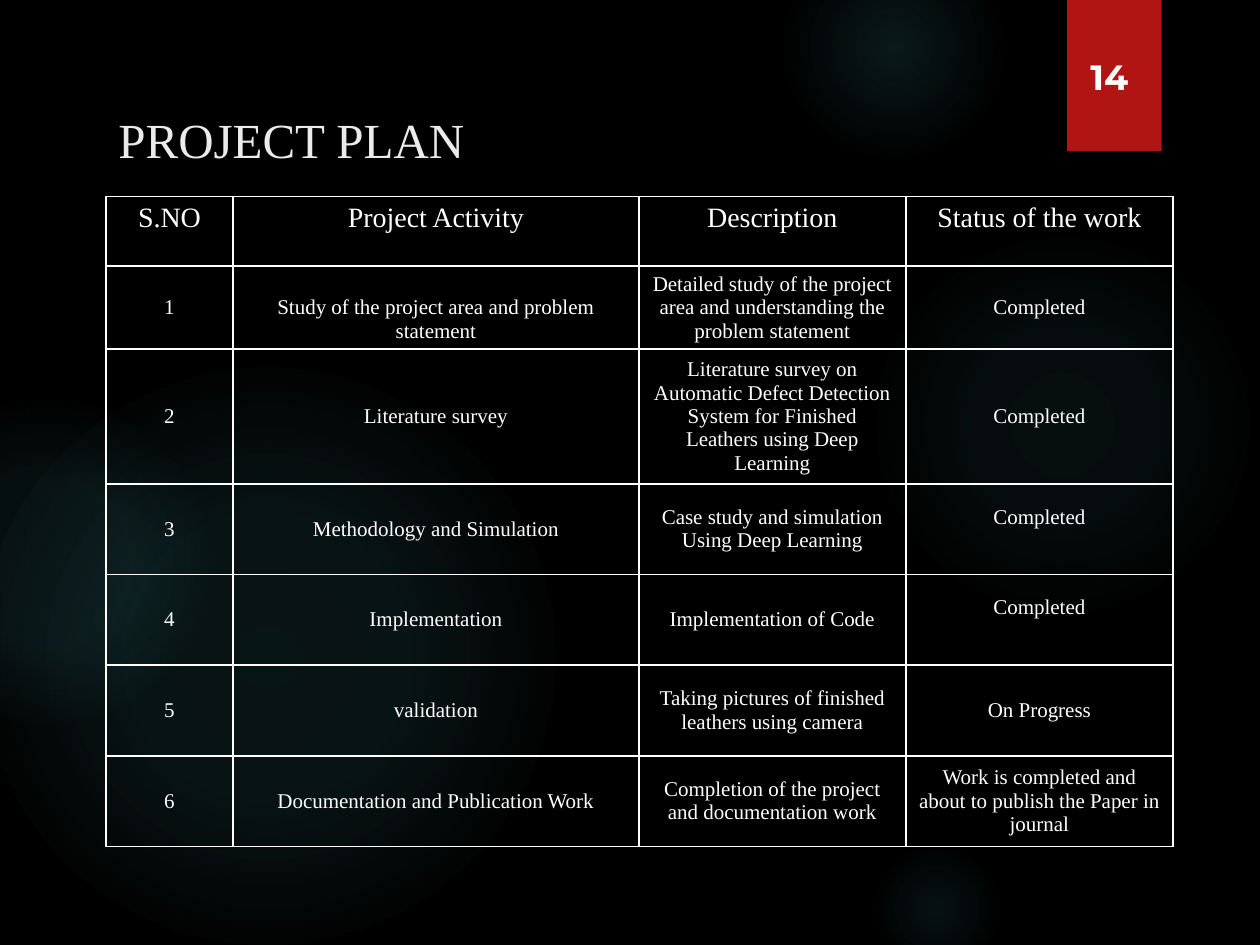
from pptx import Presentation
from pptx.dml.color import RGBColor
from pptx.enum.shapes import MSO_SHAPE
from pptx.enum.text import MSO_ANCHOR, PP_ALIGN
from pptx.oxml import parse_xml
from pptx.oxml.ns import nsdecls
from pptx.util import Inches, Pt

THEME = {
    "back": "000000", "glow": "50B9C1", "red": "B01513",
    "head": "EBEBEB", "text": "FFFFFF",
    "serif": "Times New Roman", "sans": "Montserrat",
    "title": 28, "label": 16, "body": 12, "page": 20,
}


def write(para, text, size, color, face=THEME["serif"], bold=False):
    run = para.add_run()
    run.text = text
    font = run.font
    font.name, font.size, font.bold = face, Pt(size), bold
    font.color.rgb = RGBColor.from_string(color)


def block(kind, left, top, width, height):
    shape = slide.shapes.add_shape(
        kind, Inches(left), Inches(top), Inches(width), Inches(height))
    shape.shadow.inherit = False
    shape.fill.solid()
    shape.fill.fore_color.rgb = RGBColor.from_string(THEME["red"])
    shape.line.fill.background()
    return shape


deck = Presentation()
deck.slide_width, deck.slide_height = Inches(10), Inches(7.5)
slide = deck.slides.add_slide(deck.slide_layouts[5])
slide.background.fill.solid()
slide.background.fill.fore_color.rgb = RGBColor.from_string(THEME["back"])

# Soft round glows: left, top, size, then (stop, opacity) in percent
glows = [
    (6.89, 1.83, 3.08, [(0, 7), (36, 6), (69, 0)]),
    (6.22, -0.5, 1.75, [(0, 14), (36, 7), (73, 0)]),
    (6.89, 6.67, 1.08, [(0, 9), (36, 5), (66, 0)]),
    (-0.17, 2.92, 4.58, [(0, 11), (36, 10), (75, 0)]),
    (-0.92, 3.17, 2.58, [(0, 8), (36, 8), (72, 0)]),
]
for left, top, size, stops in glows:
    glow = block(MSO_SHAPE.OVAL, left, top, size, size)
    marks = "".join(
        f'<a:gs pos="{pos * 1000}"><a:srgbClr val="{THEME["glow"]}">'
        f'<a:alpha val="{alpha * 1000}"/></a:srgbClr></a:gs>'
        for pos, alpha in stops)
    fade = parse_xml(
        f'<a:gradFill {nsdecls("a")} rotWithShape="1"><a:gsLst>{marks}</a:gsLst>'
        '<a:path path="circle"><a:fillToRect l="50000" t="50000" '
        'r="50000" b="50000"/></a:path></a:gradFill>')
    props = glow.element.spPr
    props.replace(props.solidFill, fade)

# Red ribbon with its shadow
ribbon = block(MSO_SHAPE.RECTANGLE, 8.47, 0, 0.75, 1.2)
ribbon.element.spPr.effectLst.append(parse_xml(
    f'<a:outerShdw {nsdecls("a")} blurRad="{Pt(3)}" dist="{Pt(2)}" '
    'dir="5400000" rotWithShape="0"><a:srgbClr val="000000">'
    '<a:alpha val="45000"/></a:srgbClr></a:outerShdw>'))

# Title, brought in front of the glows
title = slide.shapes.title
title.left, title.top = Inches(0.84), Inches(0.78)
title.width, title.height = Inches(7.21), Inches(0.64)
title.text_frame.vertical_anchor = MSO_ANCHOR.MIDDLE
para = title.text_frame.paragraphs[0]
para.alignment = PP_ALIGN.LEFT
write(para, "PROJECT PLAN", THEME["title"], THEME["head"])
ribbon.element.addnext(title.element)

# Plan table
plan = [
    ("S.NO", "Project Activity", "Description", "Status of the work"),
    ("1", "Study of the project area and problem statement",
     "Detailed study of the project area and understanding the problem statement",
     "Completed"),
    ("2", "Literature survey",
     "Literature survey on Automatic Defect Detection System for Finished "
     "Leathers using Deep Learning", "Completed"),
    ("3", "Methodology and Simulation",
     "Case study and simulation Using Deep Learning", "Completed"),
    ("4", "Implementation", "Implementation of Code", "Completed"),
    ("5", "validation", "Taking pictures of finished leathers using camera",
     "On Progress"),
    ("6", "Documentation and Publication Work",
     "Completion of the project and documentation work",
     "Work is completed and about to publish the Paper in journal"),
]
widths = [1.01, 3.22, 2.12, 2.12]
heights = [0.55, 0.66, 1.07] + [0.72] * 4
table = slide.shapes.add_table(
    len(plan), len(widths), Inches(0.84), Inches(1.56),
    Inches(sum(widths)), Inches(sum(heights))).table
table.first_row = table.horz_banding = False
for col, width in zip(table.columns, widths):
    col.width = Inches(width)
for row, height in zip(table.rows, heights):
    row.height = Inches(height)

for r, line in enumerate(plan):
    for c, text in enumerate(line):
        cell = table.cell(r, c)
        cell.vertical_anchor = MSO_ANCHOR.MIDDLE
        if r == 0:
            cell.vertical_anchor = MSO_ANCHOR.TOP
        elif r == 1 and c in (1, 2):
            cell.vertical_anchor = MSO_ANCHOR.BOTTOM
        elif r in (3, 4) and c == 3:
            cell.margin_bottom = Inches(0.24)  # these sit above the middle
        para = cell.text_frame.paragraphs[0]
        para.alignment = PP_ALIGN.CENTER
        write(para, text, THEME["body" if r else "label"], THEME["text"])
        props = cell._tc.get_or_add_tcPr()
        for side in ("lnL", "lnR", "lnT", "lnB"):
            props.append(parse_xml(
                f'<a:{side} {nsdecls("a")} w="{Pt(1)}"><a:solidFill>'
                f'<a:srgbClr val="{THEME["text"]}"/></a:solidFill></a:{side}>'))
        cell.fill.background()

# Page number
page = block(MSO_SHAPE.RECTANGLE, 8.51, 0.44, 0.59, 0.34)
page.line.color.rgb = RGBColor.from_string(THEME["red"])
page.line.width = Pt(1.5)
page.text_frame.vertical_anchor = MSO_ANCHOR.MIDDLE
para = page.text_frame.paragraphs[0]
para.alignment = PP_ALIGN.CENTER
write(para, "14", THEME["page"], THEME["text"], THEME["sans"], True)

deck.save("out.pptx")
